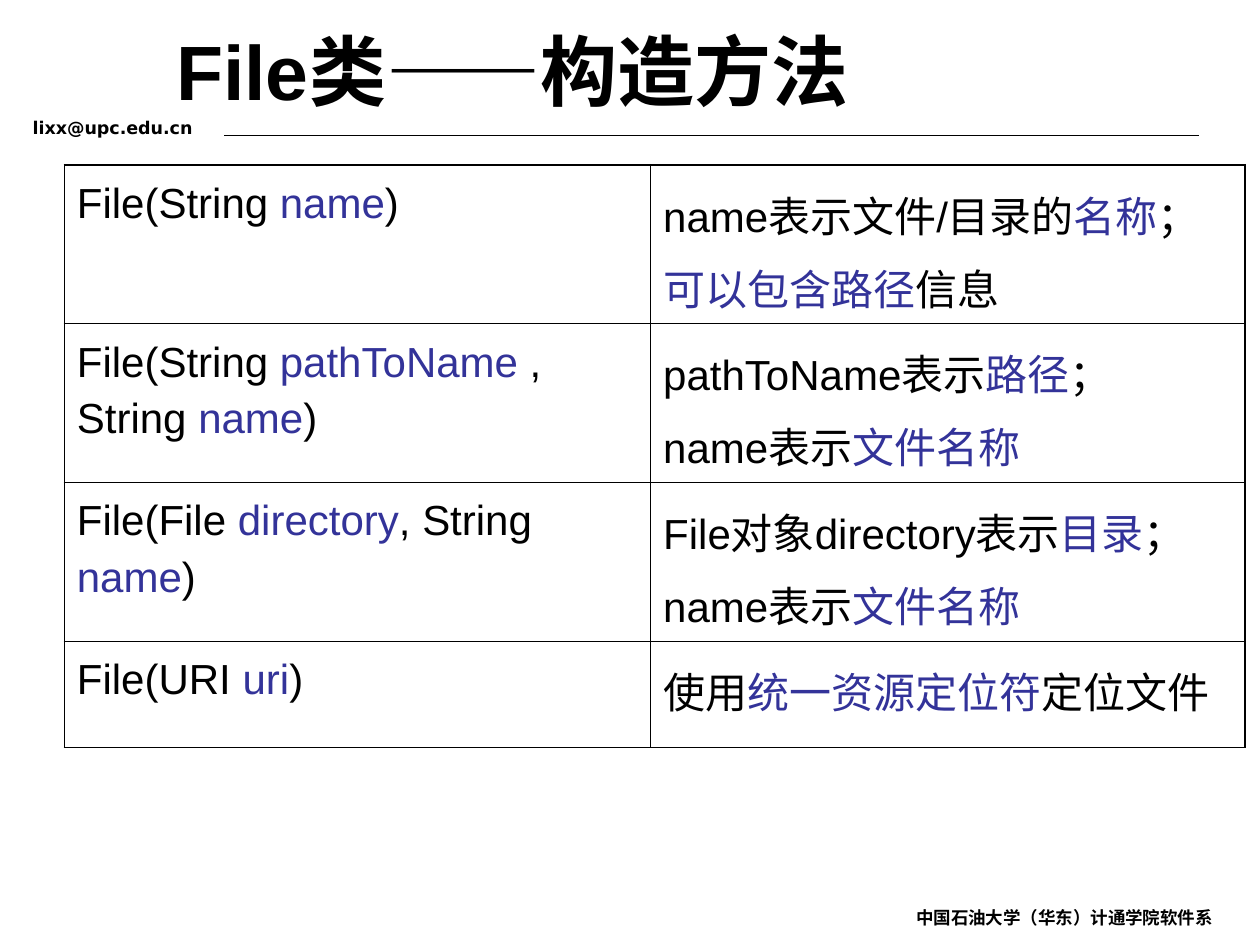
from lxml.etree import SubElement
from pptx import Presentation
from pptx.dml.color import RGBColor
from pptx.enum.shapes import MSO_CONNECTOR as Connector
from pptx.enum.text import MSO_ANCHOR as Anchor, MSO_AUTO_SIZE as AutoSize, PP_ALIGN as Align
from pptx.oxml.ns import qn
from pptx.util import Cm, Pt

COLORS = {"ink": "000000", "accent": "333399"}
LATIN, CJK, EMAIL_FONT = "Arial", "Noto Sans CJK SC", "DejaVu Sans"

TITLE = "File类——构造方法"
EMAIL = "lixx@upc.edu.cn"
DEPARTMENT = "中国石油大学（华东）计通学院软件系"

CONSTRUCTORS = [
    ([("File(String ", "name", ")")],
     [("name表示文件/目录的", "名称", "；", "可以包含路径", "信息")]),
    ([("File(String ", "pathToName", " , String ", "name", ")")],
     [("pathToName表示", "路径", "；"), ("name表示", "文件名称")]),
    ([("File(File ", "directory", ", String ", "name", ")")],
     [("File对象directory表示", "目录", "；name表示", "文件名称")]),
    ([("File(URI ", "uri", ")")],
     [("使用", "统一资源定位符", "定位文件")]),
]
COLUMN_WIDTHS = [Cm(11.82), Cm(11.98)]
ROW_HEIGHTS = [Cm(3.2)] * 3 + [Cm(2.15)]
OUTER, INNER = Pt(1.08), Pt(0.45)


def add_run(paragraph, text, size, color="ink", bold=False, latin=LATIN):
    run = paragraph.add_run()
    run.text = text
    font = run.font
    font.size, font.bold, font.name = Pt(size), bold, latin
    font.color.rgb = RGBColor.from_string(COLORS[color])
    SubElement(run._r.get_or_add_rPr(), qn("a:ea"), typeface=CJK)


def add_label(slide, text, box, latin, wrap):
    frame = slide.shapes.add_textbox(*box).text_frame
    frame.word_wrap = wrap
    add_run(frame.paragraphs[0], text, 10, bold=True, latin=latin)


def add_rule(slide, left, right, top):
    rule = slide.shapes.add_connector(Connector.STRAIGHT, left, top, right, top)
    rule.line.width = Pt(0.25)
    rule.line.color.rgb = RGBColor.from_string(COLORS["ink"])
    SubElement(rule._element.spPr, qn("a:effectLst"))


def set_borders(cell, widths):
    properties = cell._tc.get_or_add_tcPr()
    for side, width in zip("LRTB", widths):
        border = SubElement(properties, qn(f"a:ln{side}"), w=str(int(width)))
        fill = SubElement(border, qn("a:solidFill"))
        SubElement(fill, qn("a:srgbClr"), val=COLORS["ink"])


def fill_cell(cell, paragraphs):
    frame = cell.text_frame
    for index, pieces in enumerate(paragraphs):
        paragraph = frame.add_paragraph() if index else frame.paragraphs[0]
        paragraph.line_spacing = 1.2
        for position, piece in enumerate(pieces):
            add_run(paragraph, piece, 24, "accent" if position % 2 else "ink")


def add_constructor_table(slide):
    last_row, last_column = len(ROW_HEIGHTS) - 1, len(COLUMN_WIDTHS) - 1
    table = slide.shapes.add_table(
        last_row + 1, last_column + 1, Cm(1.3), Cm(3.32),
        sum(COLUMN_WIDTHS), sum(ROW_HEIGHTS)).table
    table.first_row = table.horz_banding = False
    for column, width in zip(table.columns, COLUMN_WIDTHS):
        column.width = width
    for r, (height, constructor) in enumerate(zip(ROW_HEIGHTS, CONSTRUCTORS)):
        table.rows[r].height = height
        for c, paragraphs in enumerate(constructor):
            cell = table.cell(r, c)
            edges = (c == 0, c == last_column, r == 0, r == last_row)
            set_borders(cell, [OUTER if edge else INNER for edge in edges])
            cell.fill.background()
            cell.margin_left = cell.margin_right = Cm(0.25)
            cell.margin_top = cell.margin_bottom = Cm(0.13)
            fill_cell(cell, paragraphs)


def main():
    """Build the slide on the constructors of the File class."""
    deck = Presentation()
    deck.slide_width, deck.slide_height = Cm(25.4), Cm(19.05)
    slide = deck.slides.add_slide(deck.slide_layouts[5])

    add_label(slide, EMAIL, (Cm(0.41), Cm(2.24), Cm(6.22), Cm(0.89)), EMAIL_FONT, True)
    add_rule(slide, Cm(4.52), Cm(24.18), Cm(2.72))
    add_label(slide, DEPARTMENT, (Cm(18.22), Cm(18.16), Cm(6.48), Cm(0.36)), CJK, False)

    title = slide.shapes.title
    title.left, title.top, title.width, title.height = Cm(3.3), Cm(0.31), Cm(20.83), Cm(2.18)
    frame = title.text_frame
    frame.auto_size, frame.vertical_anchor = AutoSize.NONE, Anchor.MIDDLE
    frame.paragraphs[0].alignment = Align.LEFT
    add_run(frame.paragraphs[0], TITLE, 44, bold=True)

    add_constructor_table(slide)
    deck.save("out.pptx")


if __name__ == "__main__":
    main()
